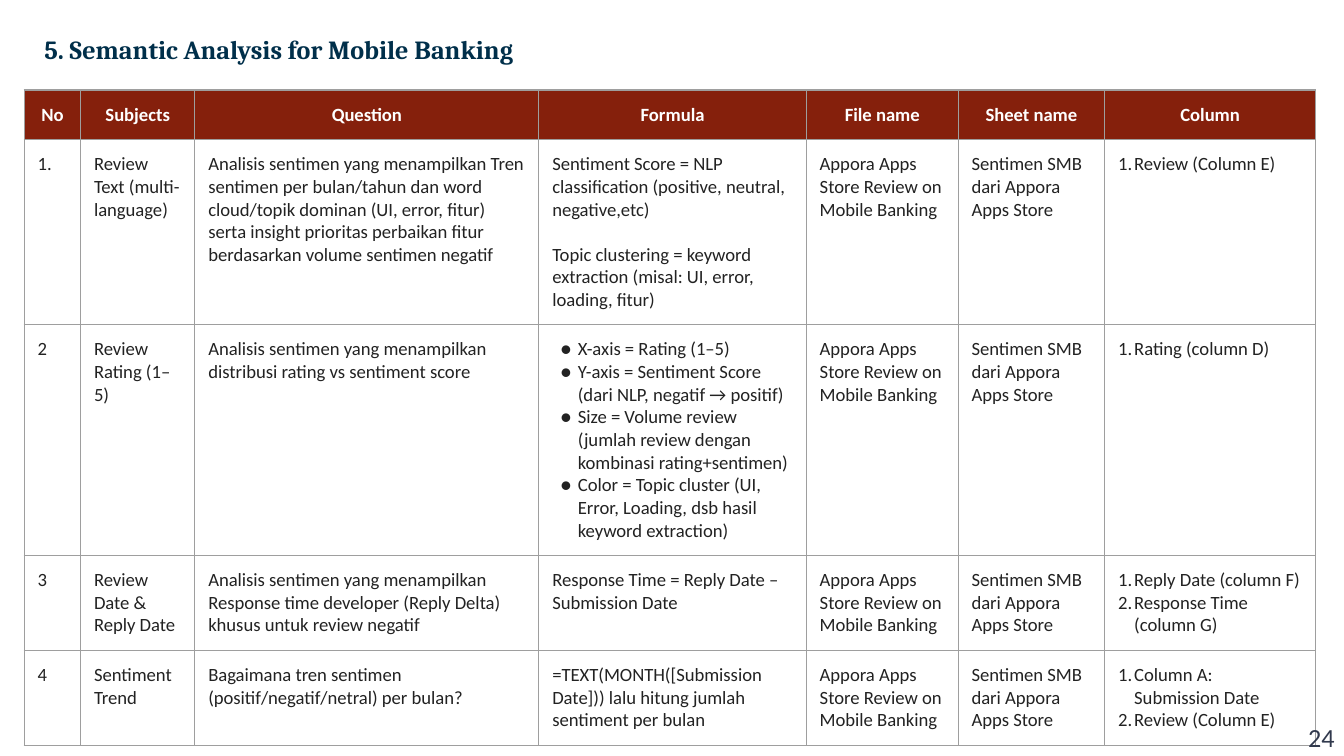
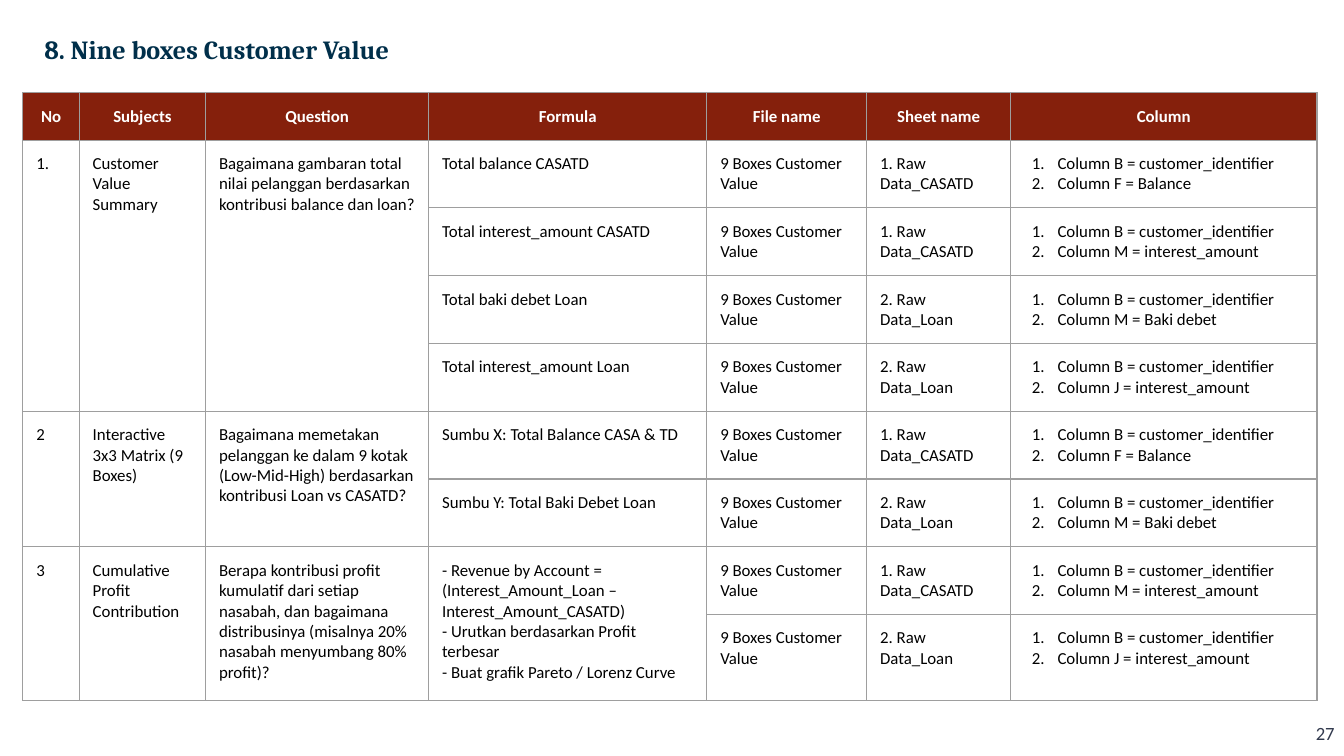
import pptx
import pptx.util
import pptx.dml.color
import pptx.enum.text
import pptx.oxml
import pptx.oxml.ns

Inches = pptx.util.Inches
Pt = pptx.util.Pt
ALIGN = pptx.enum.text.PP_ALIGN
ANCHOR = pptx.enum.text.MSO_ANCHOR

HUES = {
    "navy": "002F4A",
    "brick": "85200C",
    "white": "FFFFFF",
    "ink": "222222",
    "black": "000000",
    "slate": "31394D",
    "rule": "9E9E9E",
}
HEADS = ["No", "Subjects", "Question", "Formula", "File name", "Sheet name", "Column"]
SPACE = pptx.oxml.ns.nsdecls("a")

STORE = ["Appora Apps Store Review on Mobile Banking", "Sentimen SMB dari Appora Apps Store"]
MOBILE = [
    ["1.", "Review Text (multi-language)",
     "Analisis sentimen yang menampilkan Tren sentimen per bulan/tahun dan word cloud/topik dominan "
     "(UI, error, fitur) serta insight prioritas perbaikan fitur berdasarkan volume sentimen negatif",
     "Sentiment Score = NLP classification (positive, neutral, negative,etc)\n"
     "Topic clustering = keyword extraction (misal: UI, error, loading, fitur)",
     *STORE, ["Review (Column E)"]],
    ["2", "Review Rating (1–5)",
     "Analisis sentimen yang menampilkan distribusi rating vs sentiment score",
     ["X-axis = Rating (1–5)",
      "Y-axis = Sentiment Score (dari NLP, negatif → positif)",
      "Size = Volume review (jumlah review dengan kombinasi rating+sentimen)",
      "Color = Topic cluster (UI, Error, Loading, dsb hasil keyword extraction)"],
     *STORE, ["Rating (column D)"]],
    ["3", "Review Date & Reply Date",
     "Analisis sentimen yang menampilkan Response time developer (Reply Delta) khusus untuk review negatif",
     "Response Time = Reply Date – Submission Date",
     *STORE, ["Reply Date (column F)", "Response Time (column G)"]],
    ["4", "Sentiment Trend",
     "Bagaimana tren sentimen (positif/negatif/netral) per bulan?",
     "=TEXT(MONTH([Submission Date])) lalu hitung jumlah sentiment per bulan",
     *STORE, ["Column A: Submission Date", "Review (Column E)"]],
]


def origin(sheet, field):
    return ["9 Boxes Customer Value", sheet, ["Column B = customer_identifier", field]]


CASA = "1. Raw Data_CASATD"
LOAN = "2. Raw Data_Loan"
SAME = [None] * 3
VALUE = [
    ["1.", "Customer Value Summary",
     "Bagaimana gambaran total nilai pelanggan berdasarkan kontribusi balance dan loan?",
     "Total balance CASATD", *origin(CASA, "Column F = Balance")],
    [*SAME, "Total interest_amount CASATD", *origin(CASA, "Column M = interest_amount")],
    [*SAME, "Total baki debet Loan", *origin(LOAN, "Column M = Baki debet")],
    [*SAME, "Total interest_amount Loan", *origin(LOAN, "Column J = interest_amount")],
    ["2", "Interactive 3x3 Matrix (9 Boxes)",
     "Bagaimana memetakan pelanggan ke dalam 9 kotak (Low-Mid-High) berdasarkan kontribusi Loan vs CASATD?",
     "Sumbu X: Total Balance CASA & TD", *origin(CASA, "Column F = Balance")],
    [*SAME, "Sumbu Y: Total Baki Debet Loan", *origin(LOAN, "Column M = Baki debet")],
    ["3", "Cumulative Profit Contribution",
     "Berapa kontribusi profit kumulatif dari setiap nasabah, dan bagaimana distribusinya "
     "(misalnya 20% nasabah menyumbang 80% profit)?",
     "- Revenue by Account = (Interest_Amount_Loan – Interest_Amount_CASATD)\n"
     "- Urutkan berdasarkan Profit terbesar\n- Buat grafik Pareto / Lorenz Curve",
     *origin(CASA, "Column M = interest_amount")],
    [*SAME, None, *origin(LOAN, "Column J = interest_amount")],
]


def color(hue):
    return pptx.dml.color.RGBColor.from_string(HUES[hue])


def style(para, face, size, hue, bold=False):
    for run in para.runs:
        font = run.font
        font.name, font.size, font.bold = face, Pt(size), bold
        font.color.rgb = color(hue)


def inset(frame):
    frame.margin_left = frame.margin_right = Inches(0.07)
    frame.margin_top = frame.margin_bottom = Inches(0.04)
    frame.word_wrap = True


def place(shape, box):
    shape.left, shape.top, shape.width, shape.height = map(Inches, box)


def title(slide, text, box):
    shape = slide.shapes.title
    place(shape, box)
    frame = shape.text_frame
    frame.text = text
    inset(frame)
    frame.vertical_anchor = ANCHOR.MIDDLE
    para = frame.paragraphs[0]
    para.alignment = ALIGN.LEFT
    para.line_spacing = 0.9
    style(para, "Cambria", 14, "navy", True)


def footer(slide, text, size, box):
    frame = slide.shapes.add_textbox(*map(Inches, box)).text_frame
    frame.text = text
    inset(frame)
    para = frame.paragraphs[0]
    para.alignment = ALIGN.RIGHT
    style(para, "Calibri", size, "slate")


def bullet(para, mark, left, hang, hue):
    props = para._p.get_or_add_pPr()
    props.set("marL", str(Inches(left)))
    props.set("indent", str(-Inches(hang)))
    tint = f'<a:buClr {SPACE}><a:srgbClr val="{HUES[hue]}"/></a:buClr>'
    face = f'<a:buFont {SPACE} typeface="Calibri"/>'
    for part in (tint, face, mark):
        props.append(pptx.oxml.parse_xml(part))


def border(cell):
    props = cell._tc.get_or_add_tcPr()
    for side in "LRTB":
        props.append(pptx.oxml.parse_xml(
            f'<a:ln{side} {SPACE} w="{Pt(0.75)}"><a:solidFill>'
            f'<a:srgbClr val="{HUES["rule"]}"/></a:solidFill></a:ln{side}>'))


def fill(cell, hue):
    border(cell)
    if hue:
        cell.fill.solid()
        cell.fill.fore_color.rgb = color(hue)
    else:
        cell.fill.background()
    cell.margin_left = cell.margin_right = Inches(0.1)
    cell.margin_top = cell.margin_bottom = Inches(0.1)


def write(cell, item, last, look):
    listed = isinstance(item, list)
    cell.text_frame.text = "\n".join(item) if listed else item
    for order, para in enumerate(cell.text_frame.paragraphs):
        if listed and last:
            mark = f'<a:buAutoNum {SPACE} type="arabicPeriod"/>'
            bullet(para, mark, *look["list"], look["hue"])
        elif listed:
            bullet(para, f'<a:buChar {SPACE} char="●"/>', 0.19, 0.13, look["hue"])
        elif order:
            para.space_before = Pt(look["gap"])
        style(para, "Calibri", look["size"], look["hue"])


def grid(slide, rows, left, top, wides, highs, look):
    shape = slide.shapes.add_table(len(highs), len(wides), Inches(left), Inches(top),
                                   Inches(sum(wides)), Inches(sum(highs)))
    table = shape.table
    table.horz_banding = False
    for col, wide in zip(table.columns, wides):
        col.width = Inches(wide)
    for row, high in zip(table.rows, highs):
        row.height = Inches(high)
    for col, head in enumerate(HEADS):
        cell = table.cell(0, col)
        fill(cell, "brick")
        cell.text_frame.text = head
        para = cell.text_frame.paragraphs[0]
        para.alignment = ALIGN.CENTER
        style(para, "Calibri", look["size"], "white", True)
    for col in range(len(HEADS)):
        first = 1
        for row, items in enumerate(rows, 1):
            cell = table.cell(row, col)
            fill(cell, look["fill"])
            if items[col] is not None:
                first = row
                write(cell, items[col], col == len(HEADS) - 1, look)
            elif row == len(rows) or rows[row][col] is not None:
                table.cell(first, col).merge(cell)


def page(deck, name, number, size, *parts):
    slide = deck.slides.add_slide(deck.slide_layouts[5])
    title(slide, name, (0.26, 0.15, 9.44, 0.46))
    grid(slide, *parts)
    footer(slide, number, size, (7.28, 5.33, 2.72, 0.3))


def main():
    deck = pptx.Presentation()
    deck.slide_width = Inches(10)
    deck.slide_height = deck.slide_width * 9 // 16
    page(deck, "5. Semantic Analysis for Mobile Banking", "24", 14,
         MOBILE, 0.18, 0.67,
         [0.42, 0.85, 2.56, 1.99, 1.13, 1.09, 1.57], [0.36] + [0.51] * 4,
         {"size": 10, "hue": "ink", "fill": None, "list": (0.12, 0.13), "gap": 12})
    page(deck, "8. Nine boxes Customer Value", "27", 10,
         VALUE, 0.17, 0.69,
         [0.42, 0.94, 1.66, 2.07, 1.19, 1.07, 2.28], [0.32] + [0.46] * 7 + [0.64],
         {"size": 9, "hue": "black", "fill": "white", "list": (0.25, 0.19), "gap": 0})
    deck.save("out.pptx")


if __name__ == "__main__":
    main()
